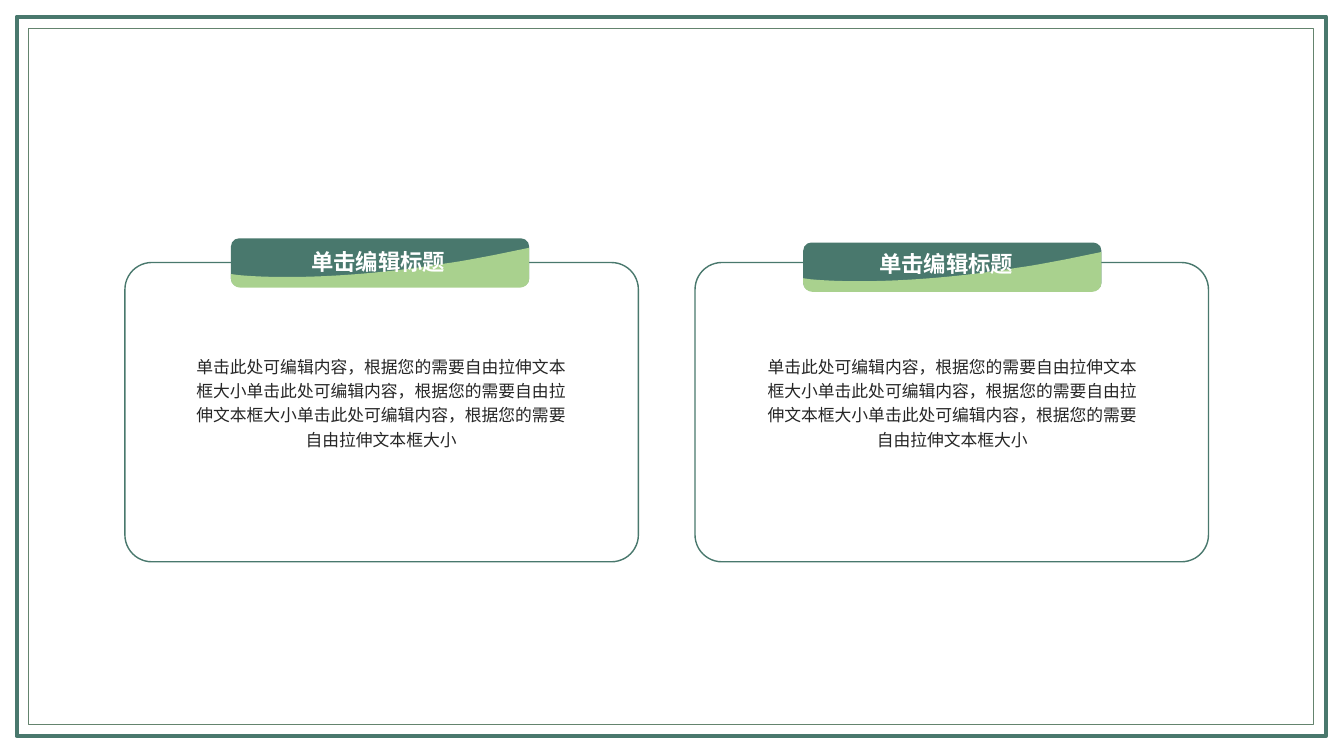
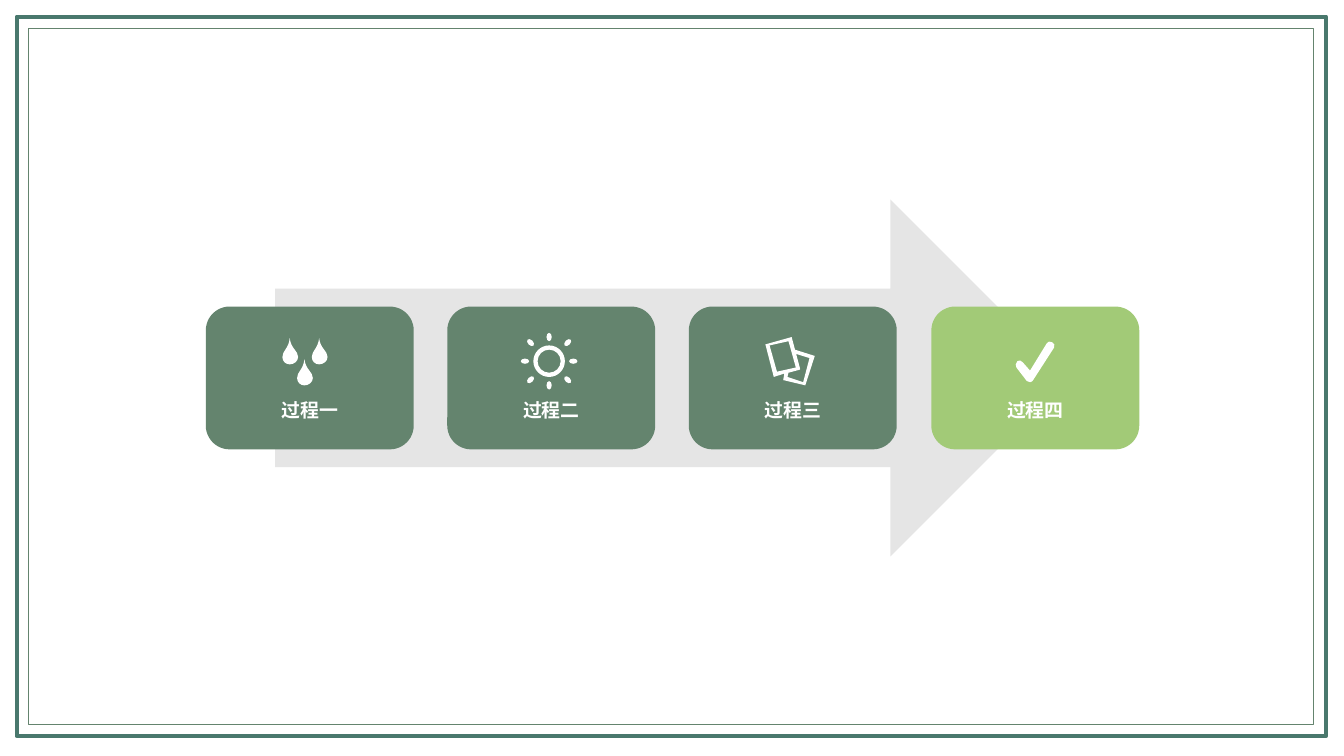
from math import cos, radians, sin

from lxml.etree import SubElement
from pptx import Presentation
from pptx.dml.color import RGBColor
from pptx.enum.shapes import MSO_SHAPE
from pptx.enum.text import MSO_ANCHOR, PP_ALIGN
from pptx.oxml.ns import qn
from pptx.util import Pt

PX = 9525

TEAL = RGBColor(0x49, 0x78, 0x6D)
SAGE = RGBColor(0x64, 0x84, 0x6E)
LIME = RGBColor(0xA2, 0xCA, 0x77)
LEAF = RGBColor(0xA9, 0xD1, 0x8E)
GRAY = RGBColor(0xA6, 0xA6, 0xA6)
INK = RGBColor(0x26, 0x26, 0x26)
WHITE = RGBColor(0xFF, 0xFF, 0xFF)

RECT = MSO_SHAPE.RECTANGLE
ROUND_RECT = MSO_SHAPE.ROUNDED_RECTANGLE
RIGHT_ARROW = MSO_SHAPE.RIGHT_ARROW
LEFT = PP_ALIGN.LEFT
CENTER = PP_ALIGN.CENTER
BOTTOM = MSO_ANCHOR.BOTTOM

LATIN = "Arial"
CJK = "Noto Sans CJK SC"

SWOOSH = [
    [(284, 9)],
    [(284, 39)],
    [(284, 43), (280, 47), (275, 47)],
    [(9, 47)],
    [(4, 47), (0, 43), (0, 39)],
    [(0, 34)],
    [(7, 35)],
    [(51, 39), (123, 37), (204, 24)],
    [(219, 22), (234, 19), (250, 16)],
]
DROP = [
    [(7, 0)],
    [(6, 10), (0, 12), (0, 18)],
    [(0, 22), (3, 25), (7, 25)],
    [(11, 25), (15, 22), (15, 18)],
    [(15, 12), (8, 10), (7, 0)],
]
CHECK = [
    [(94, 72)],
    [(93, 72), (92, 72), (91, 71)],
    [(81, 58)],
    [(80, 56), (80, 54), (82, 52)],
    [(84, 51), (85, 51), (87, 53)],
    [(94, 61)],
    [(110, 35)],
    [(111, 33), (113, 33), (115, 34)],
    [(117, 35), (118, 37), (117, 39)],
    [(97, 70)],
    [(97, 71), (95, 72), (94, 72)],
]
SHEETS = [
    [(73, 36), (98, 29), (106, 59), (81, 67)],
    [(77, 37), (95, 33), (102, 58), (84, 62)],
    [(120, 47), (101, 41), (106, 59), (91, 64), (90, 70), (111, 75)],
    [(109, 72), (94, 67), (95, 63), (106, 60), (102, 45), (115, 49)],
]

TITLE = "单击编辑标题"
BODY = "单击此处可编辑内容，根据您的需要自由拉伸文本框大小" * 3


def px(*values):
    return [round(v * PX) for v in values]


def paint(sp, fill=None, line=None, width=1):
    sp.shadow.inherit = False
    if fill is None:
        sp.fill.background()
    else:
        sp.fill.solid()
        sp.fill.fore_color.rgb = fill
    if line is None:
        sp.line.fill.background()
    else:
        sp.line.color.rgb = line
        sp.line.width = Pt(width)


def add_shape(s, kind, x, y, w, h, fill=None, line=None, width=1, adj=None):
    sp = s.shapes.add_shape(kind, *px(x, y, w, h))
    paint(sp, fill, line, width)
    if adj is not None:
        sp.adjustments[0] = adj
    return sp


def bend_lines(sp, contours):
    path = next(sp._element.iter(qn("a:path")))
    lines = iter(path.findall(qn("a:lnTo")))
    for contour in contours:
        for segment in contour[1:]:
            nodes = [next(lines) for _ in segment]
            if len(nodes) == 3:
                bezier = SubElement(path, qn("a:cubicBezTo"))
                nodes[0].addprevious(bezier)
                for node in nodes:
                    bezier.append(node[0])
                    path.remove(node)


def add_outline(s, x, y, contours, fill):
    builder = s.shapes.build_freeform(*px(*contours[0][0][0]))
    for i, contour in enumerate(contours):
        if i:
            builder.move_to(*px(*contour[0][0]))
        points = [px(*point) for segment in contour[1:] for point in segment]
        builder.add_line_segments(points, close=True)
    sp = builder.convert_to_shape(*px(x, y))
    bend_lines(sp, contours)
    paint(sp, fill)


def shifted(contour, dx, dy):
    return [[(x + dx, y + dy) for x, y in segment] for segment in contour]


def ellipse(cx, cy, rx, ry, angle=0):
    k = 0.55
    c, d = cos(radians(angle)), sin(radians(angle))
    unit = [
        [(1, 0)],
        [(1, k), (k, 1), (0, 1)],
        [(-k, 1), (-1, k), (-1, 0)],
        [(-1, -k), (-k, -1), (0, -1)],
        [(k, -1), (1, -k), (1, 0)],
    ]
    return [[(cx + rx * u * c - ry * v * d, cy + rx * u * d + ry * v * c)
             for u, v in segment] for segment in unit]


def set_text(tf, text, size, color, font, bold=False, align=CENTER):
    tf.text = text
    p = tf.paragraphs[0]
    p.alignment = align
    r = p.runs[0]
    r.font.size = Pt(size)
    r.font.bold = bold
    r.font.color.rgb = color
    r.font.name = font
    SubElement(r.font._element, qn("a:ea")).set("typeface", font)
    return p


def add_frame(s):
    add_shape(s, RECT, 16, 16, 1247, 685, line=TEAL, width=3)
    add_shape(s, RECT, 27, 27, 1224, 663, line=SAGE, width=0.5)


def add_panel(s, x, text_x):
    add_shape(s, ROUND_RECT, x, 250, 489, 285, WHITE, TEAL, adj=0.09)
    tf = s.shapes.add_textbox(*px(text_x, 336, 352, 93)).text_frame
    tf.word_wrap = True
    tf.margin_left = tf.margin_right = tf.margin_top = tf.margin_bottom = 0
    set_text(tf, BODY, 12, INK, LATIN).line_spacing = 1.2


def add_banner(s, x, y, title_x, title_y):
    add_shape(s, ROUND_RECT, x, y, 284, 46, TEAL)
    add_outline(s, x, y, [SWOOSH], LEAF)
    tf = s.shapes.add_textbox(*px(title_x, title_y, 149, 36)).text_frame
    tf.word_wrap = False
    set_text(tf, TITLE, 16, WHITE, LATIN, bold=True, align=LEFT)


def drops():
    return [shifted(DROP, dx, dy) for dx, dy in ((73, 30), (101, 30), (87, 50))]


def sun():
    cx, cy = 97, 52
    contours = [ellipse(cx, cy, 15, 15), ellipse(cx, cy, 11, 11)]
    for angle in range(0, 360, 45):
        reach = 25 if angle % 90 else 23
        a = radians(angle)
        contours.append(ellipse(cx + reach * cos(a), cy + reach * sin(a),
                                4, 2.5, angle))
    return contours


def sheets():
    return [[[point] for point in polygon] for polygon in SHEETS]


def check():
    return [CHECK]


def add_step(s, x, y, label, fill, icon):
    sp = add_shape(s, ROUND_RECT, x, y, 198, 136, fill)
    tf = sp.text_frame
    tf.vertical_anchor = BOTTOM
    tf.margin_bottom = px(20)[0]
    set_text(tf, label, 13.5, WHITE, CJK, bold=True)
    add_outline(s, x, y, icon(), WHITE)


def add_backdrop_arrow(s):
    sp = add_shape(s, RIGHT_ARROW, 262, 190, 756, 340, GRAY)
    color = sp._element.spPr.find(qn("a:solidFill"))[0]
    SubElement(color, qn("a:alpha")).set("val", "29000")


def build_panels(s):
    for x, text_x in ((119, 187), (662, 731)):
        add_panel(s, x, text_x)
    add_banner(s, 220, 227, 287, 232)
    add_banner(s, 765, 231, 828, 233)


def build_process(s):
    add_backdrop_arrow(s)
    steps = (
        ("过程一", SAGE, drops),
        ("过程二", SAGE, sun),
        ("过程三", SAGE, sheets),
        ("过程四", LIME, check),
    )
    for i, step in enumerate(steps):
        add_step(s, round(195.6 + 230.4 * i), 292, *step)


def main():
    prs = Presentation()
    prs.slide_width, prs.slide_height = px(1280, 720)
    for build in (build_panels, build_process):
        s = prs.slides.add_slide(prs.slide_layouts[6])
        add_frame(s)
        build(s)
    prs.save("out.pptx")


if __name__ == "__main__":
    main()
